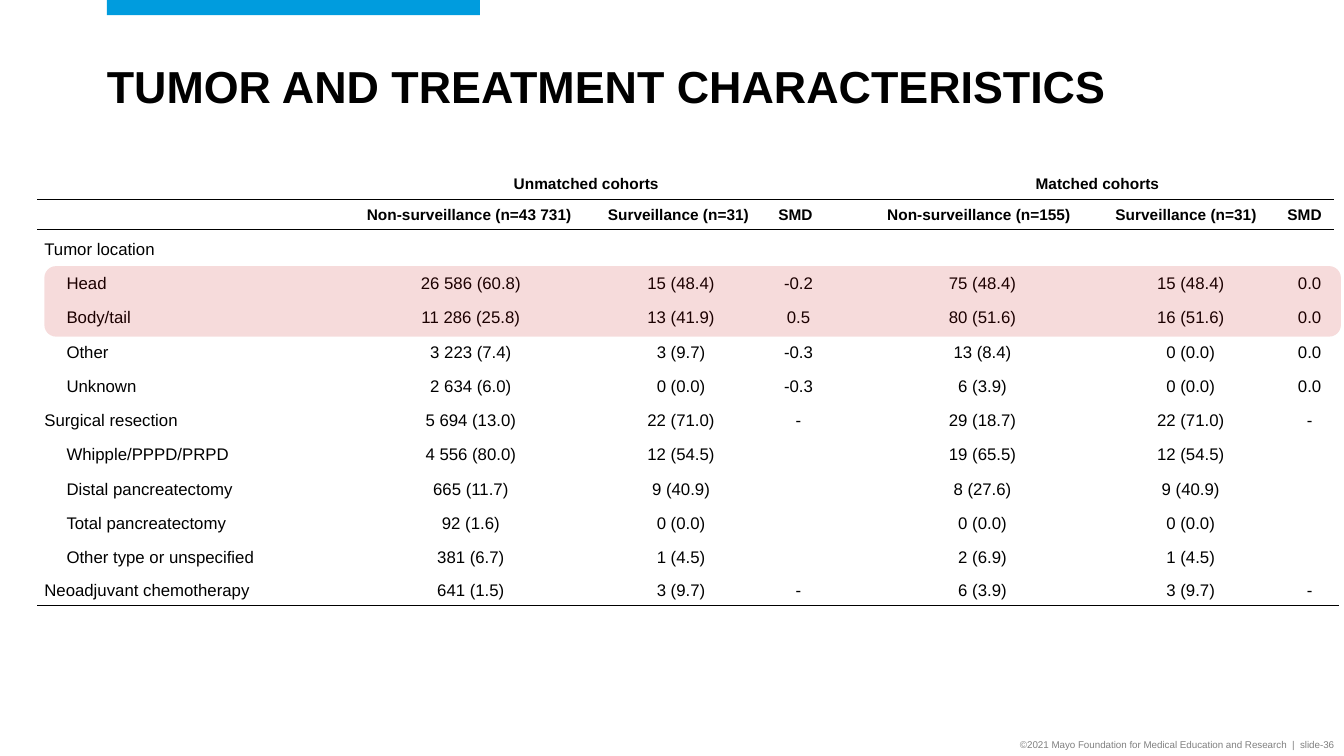
from lxml import etree
from pptx import Presentation
from pptx.dml.color import RGBColor
from pptx.enum.shapes import MSO_SHAPE
from pptx.enum.text import MSO_ANCHOR, PP_ALIGN
from pptx.oxml import parse_xml
from pptx.oxml.ns import nsdecls, qn
from pptx.util import Inches, Pt

RECT, ROUND_RECT = MSO_SHAPE.RECTANGLE, MSO_SHAPE.ROUNDED_RECTANGLE
TOP, MIDDLE = MSO_ANCHOR.TOP, MSO_ANCHOR.MIDDLE
LEFT, CENTER, RIGHT = PP_ALIGN.LEFT, PP_ALIGN.CENTER, PP_ALIGN.RIGHT
BLACK = RGBColor(0x00, 0x00, 0x00)
GRAY = RGBColor(0x80, 0x80, 0x80)
BLUE = RGBColor(0x00, 0x9C, 0xDE)
RED = RGBColor(0xC0, 0x00, 0x00)
NO_STYLE = "{2D5ABB26-0587-4C30-8999-92F81FD0307C}"

HEADER = [
    ["", "Unmatched cohorts", "", "", "", "Matched cohorts", "", ""],
    ["", "Non-surveillance (n=43 731)", "Surveillance (n=31)", "SMD",
     "", "Non-surveillance (n=155)", "Surveillance (n=31)", "SMD"],
]
BODY = [
    ["Tumor location", "", "", "", "", "", "", ""],
    ["Head", "26 586 (60.8)", "15 (48.4)", "-0.2", "", "75 (48.4)", "15 (48.4)", "0.0"],
    ["Body/tail", "11 286 (25.8)", "13 (41.9)", "0.5", "", "80 (51.6)", "16 (51.6)", "0.0"],
    ["Other", "3 223 (7.4)", "3 (9.7)", "-0.3", "", "13 (8.4)", "0 (0.0)", "0.0"],
    ["Unknown", "2 634 (6.0)", "0 (0.0)", "-0.3", "", "6 (3.9)", "0 (0.0)", "0.0"],
    ["Surgical resection", "5 694 (13.0)", "22 (71.0)", "-", "", "29 (18.7)", "22 (71.0)", "-"],
    ["Whipple/PPPD/PRPD", "4 556 (80.0)", "12 (54.5)", "", "", "19 (65.5)", "12 (54.5)", ""],
    ["Distal pancreatectomy", "665 (11.7)", "9 (40.9)", "", "", "8 (27.6)", "9 (40.9)", ""],
    ["Total pancreatectomy", "92 (1.6)", "0 (0.0)", "", "", "0 (0.0)", "0 (0.0)", ""],
    ["Other type or unspecified", "381 (6.7)", "1 (4.5)", "", "", "2 (6.9)", "1 (4.5)", ""],
    ["Neoadjuvant chemotherapy", "641 (1.5)", "3 (9.7)", "-", "", "6 (3.9)", "3 (9.7)", "-"],
]
MAIN_ROWS = ("Tumor location", "Surgical resection", "Neoadjuvant chemotherapy")


def add_run(p, text, size, color=BLACK, bold=False, align=LEFT):
    p.alignment = align
    r = p.add_run()
    r.text = text
    r.font.name = "Arial"
    r.font.size = Pt(size)
    r.font.bold = bold
    r.font.color.rgb = color


def add_grid(s, top, rows, widths, heights, margin, size, bold, ruled_rows):
    table = s.shapes.add_table(len(rows), len(widths), Inches(0.37), Inches(top),
                               Inches(sum(widths)), Inches(sum(heights))).table
    table.first_row = table.horz_banding = False
    table._tbl.tblPr.find(qn("a:tableStyleId")).text = NO_STYLE
    for column, width in zip(table.columns, widths):
        column.width = Inches(width)
    for i, values in enumerate(rows):
        table.rows[i].height = Inches(heights[i])
        for j, value in enumerate(values):
            cell = table.cell(i, j)
            cell.fill.background()
            cell.vertical_anchor = MIDDLE
            cell.margin_left = cell.margin_right = Inches(margin)
            cell.margin_top = cell.margin_bottom = 0
            if i in ruled_rows:
                cell._tc.get_or_add_tcPr().insert(0, parse_xml(
                    f'<a:lnB {nsdecls("a")} w="12700"><a:solidFill>'
                    f'<a:srgbClr val="{BLACK}"/></a:solidFill></a:lnB>'))
            if value:
                p = cell.text_frame.paragraphs[0]
                p.line_spacing = 1.07
                p.space_after = Pt(8)
                if j == 0 and value not in MAIN_ROWS:
                    p._p.get_or_add_pPr().set("indent", str(Inches(0.22)))
                add_run(p, value, size, bold=bold, align=CENTER if j else LEFT)
    return table


prs = Presentation()
prs.slide_width, prs.slide_height = Inches(13.33), Inches(7.5)
s = prs.slides.add_slide(prs.slide_layouts[6])

for text, box, margin, anchor, align, size, color, bold, spacing in [
    ("©2021 Mayo Foundation for Medical Education and Research  |  slide-36",
     (9.21, 7.28, 4.12, 0.22), 0.1, MIDDLE, RIGHT, 7, GRAY, False, 1.0),
    ("TUMOR AND TREATMENT CHARACTERISTICS",
     (1.06, 0.59, 10.94, 0.64), 0, TOP, LEFT, 32, BLACK, True, 0.9),
]:
    tf = s.shapes.add_textbox(*map(Inches, box)).text_frame
    tf.word_wrap = True
    tf.vertical_anchor = anchor
    tf.margin_left = tf.margin_right = Inches(margin)
    p = tf.paragraphs[0]
    p.line_spacing = spacing
    add_run(p, text, size, color, bold, align)

header = add_grid(s, 1.67, HEADER, [3.08, 2.41, 1.74, 0.58, 0.36, 2.34, 1.77, 0.58],
                  [0.31, 0.3], 0.1, 11, True, (0, 1))
for first in (1, 5):
    header.cell(0, first).merge(header.cell(0, first + 2))

add_grid(s, 2.3, BODY, [3.09, 2.42, 1.75, 0.58, 0.36, 2.35, 1.78, 0.58],
         [0.34] * 10 + [0.31], 0.07, 12, False, (10,))

for kind, box, color, opacity in [
    (RECT, (1.06, 0, 3.7, 0.15), BLUE, 100),
    (ROUND_RECT, (0.44, 2.64, 12.86, 0.7), RED, 14),
]:
    sp = s.shapes.add_shape(kind, *map(Inches, box))
    sp.shadow.inherit = False
    sp.line.fill.background()
    sp.fill.solid()
    sp.fill.fore_color.rgb = color
    if opacity < 100:
        clr = sp._element.spPr.find(qn("a:solidFill")).find(qn("a:srgbClr"))
        etree.SubElement(clr, qn("a:alpha")).set("val", str(opacity * 1000))

prs.save("out.pptx")
